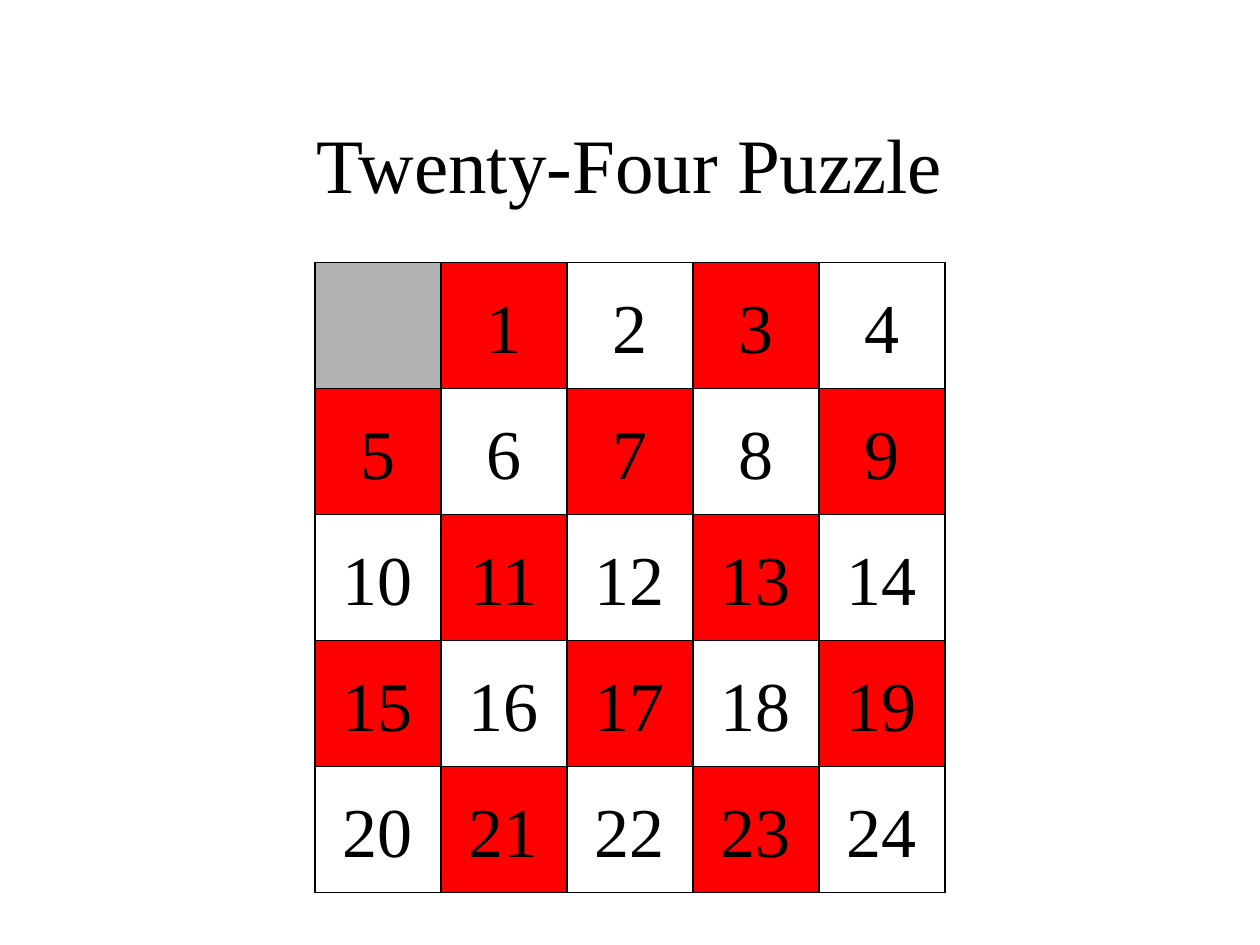
from lxml import etree
from pptx import Presentation
from pptx.dml.color import RGBColor
from pptx.enum import shapes, text
from pptx.oxml.ns import qn
from pptx.util import Pt

COLORS = {"ink": "000000", "odd": "FF0000", "gap": "B2B2B2"}
FONT = "Times New Roman"
SIZE = 5
TILE = 72
BOARD_LEFT, BOARD_TOP = 180, 150
BOARD_SIDE = SIZE * TILE


def write(holder, wording, size, wrap=True):
    """Write centred text in a shape or text box."""
    frame = holder.text_frame
    frame.word_wrap = wrap
    frame.vertical_anchor = text.MSO_ANCHOR.MIDDLE
    paragraph = frame.paragraphs[0]
    paragraph.alignment = text.PP_ALIGN.CENTER
    run = paragraph.add_run()
    run.text = wording
    run.font.size = Pt(size)
    run.font.name = FONT
    run.font.color.rgb = RGBColor.from_string(COLORS["ink"])


def outline(item):
    """Give a shape or connector the thin board line."""
    item.line.color.rgb = RGBColor.from_string(COLORS["ink"])
    item.line.width = Pt(0.75)


def add_square(slide, left, top, side, fill=None):
    """Add an outlined square, filled when a colour key is given."""
    square = slide.shapes.add_shape(
        shapes.MSO_SHAPE.RECTANGLE, Pt(left), Pt(top), Pt(side), Pt(side))
    square.shadow.inherit = False
    outline(square)
    if fill:
        square.fill.solid()
        square.fill.fore_color.rgb = RGBColor.from_string(COLORS[fill])
    else:
        square.fill.background()
    return square


def add_rule(slide, x1, y1, x2, y2):
    """Add a straight board line without a shadow."""
    rule = slide.shapes.add_connector(
        shapes.MSO_CONNECTOR.STRAIGHT, Pt(x1), Pt(y1), Pt(x2), Pt(y2))
    outline(rule)
    etree.SubElement(rule._element.spPr, qn("a:effectLst"))


def add_board(slide):
    """Add the board frame and its inner lines."""
    add_square(slide, BOARD_LEFT, BOARD_TOP, BOARD_SIDE)
    right, bottom = BOARD_LEFT + BOARD_SIDE, BOARD_TOP + BOARD_SIDE
    for step in range(1, SIZE):
        x = BOARD_LEFT + step * TILE
        add_rule(slide, x, BOARD_TOP, x, bottom)
    for step in range(1, SIZE):
        y = BOARD_TOP + step * TILE
        add_rule(slide, BOARD_LEFT, y, right, y)


def add_tiles(slide):
    """Add the numbered tiles, odd ones red, and the empty corner."""
    for number in range(1, SIZE * SIZE):
        row, column = divmod(number, SIZE)
        tile = add_square(slide, BOARD_LEFT + column * TILE,
                          BOARD_TOP + row * TILE, TILE,
                          "odd" if number % 2 else None)
        write(tile, str(number), size=40, wrap=False)
    add_square(slide, BOARD_LEFT, BOARD_TOP, TILE, "gap")


def main():
    """Build and save the puzzle slide."""
    deck = Presentation()
    deck.slide_width, deck.slide_height = Pt(720), Pt(540)
    slide = deck.slides.add_slide(deck.slide_layouts[6])
    title = slide.shapes.add_textbox(Pt(54), Pt(48), Pt(612), Pt(90))
    write(title, "Twenty-Four Puzzle", size=44)
    add_board(slide)
    add_tiles(slide)
    deck.save("out.pptx")


if __name__ == "__main__":
    main()
